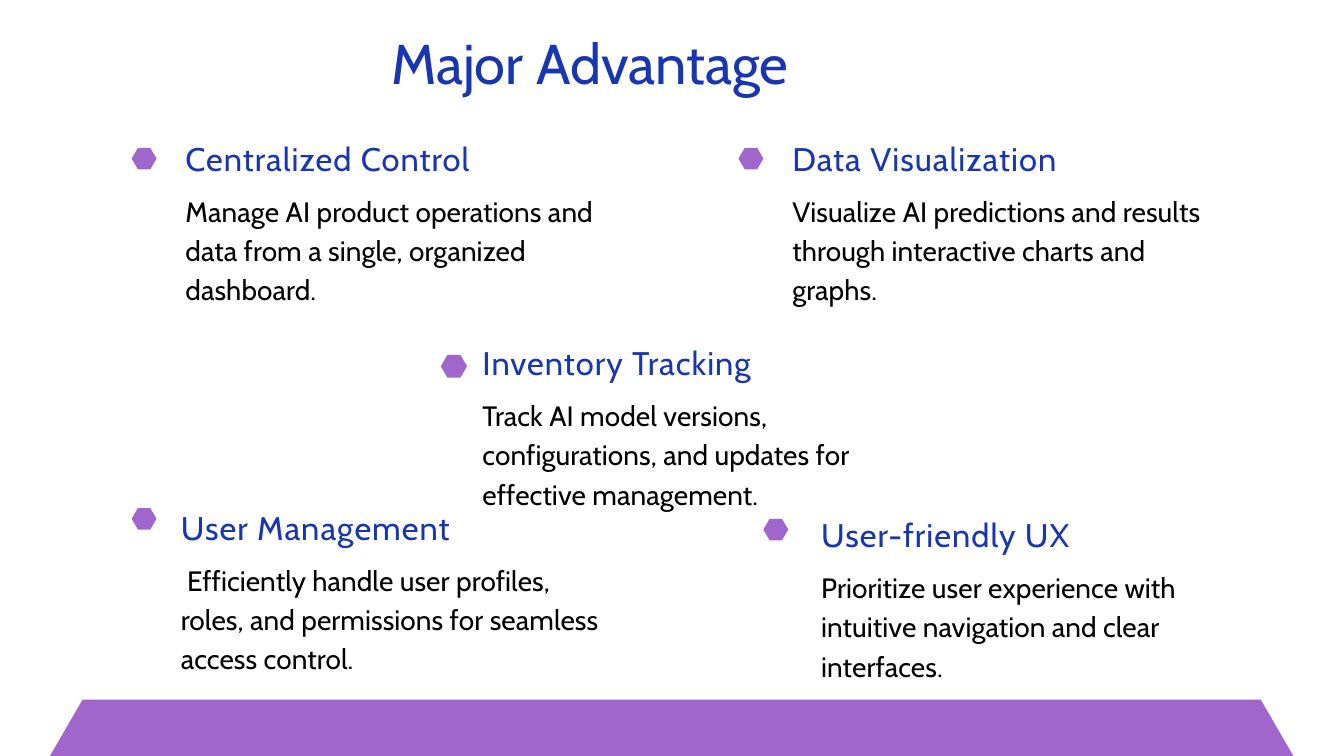
from pptx import Presentation
from pptx import util as u
from pptx.dml.color import RGBColor
from pptx.enum import shapes

COLORS = {"blue": "1836B2", "purple": "A066CB", "black": "000000"}

deck = Presentation()
deck.slide_width = u.Inches(20)
deck.slide_height = u.Inches(11.25)
column = deck.slide_width / 20
row = deck.slide_height / 11.25
page = deck.slides.add_slide(deck.slide_layouts[6])


def place(left, top, width, height):
    return int(left * column), int(top * row), int(width * column), int(height * row)


def add_hexagon(left, top, width, height):
    hexagon = page.shapes.add_shape(
        shapes.MSO_SHAPE.HEXAGON, *place(left, top, width, height)
    )
    hexagon.adjustments[0] = 0.29
    hexagon.shadow.inherit = False
    hexagon.fill.solid()
    hexagon.fill.fore_color.rgb = RGBColor.from_string(COLORS["purple"])
    hexagon.line.fill.background()


def add_text(words, left, top, width, height, size, leading, color, tracking):
    box = page.shapes.add_textbox(*place(left, top, width, height))
    frame = box.text_frame
    frame.word_wrap = True
    frame.margin_left = frame.margin_top = frame.margin_right = frame.margin_bottom = 0
    para = frame.paragraphs[0]
    para.line_spacing = u.Pt(leading)
    para.font.name = "Cabin"
    para.font.size = u.Pt(size)
    para.font.color.rgb = RGBColor.from_string(COLORS[color])
    span = para.add_run()
    span.text = words
    span._r.get_or_add_rPr().set("spc", str(tracking))


add_hexagon(0.74, 10.41, 18.51, 1.69)
add_text("Major Advantage", 5.82, 0.51, 10.33, 0.95, 60, 66, "blue", 0)

advantages = [
    ("Centralized Control",
     "Manage AI product operations and data from a single, organized dashboard.",
     2.76, 2.06, 1.96, 2.2, 0.37, 0.32),
    ("Data Visualization",
     "Visualize AI predictions and results through interactive charts and graphs.",
     11.79, 2.06, 10.99, 2.2, 0.37, 0.32),
    ("Inventory Tracking",
     "Track AI model versions, configurations, and updates for effective management.",
     7.18, 5.1, 6.56, 5.28, 0.39, 0.34),
    ("User Management",
     " Efficiently handle user profiles, roles, and permissions for seamless access control.",
     2.69, 7.55, 1.96, 7.56, 0.37, 0.32),
    ("User-friendly UX",
     "Prioritize user experience with intuitive navigation and clear interfaces.",
     12.22, 7.66, 11.36, 7.72, 0.37, 0.32),
]

for heading, detail, left, top, *marker in advantages:
    add_hexagon(*marker)
    add_text(heading, left, top, 6.25, 0.59, 35, 42, "blue", 110)
    add_text(detail, left, top + 0.75, 6.25, 1.72, 30, 42, "black", 10)

deck.save("out.pptx")
